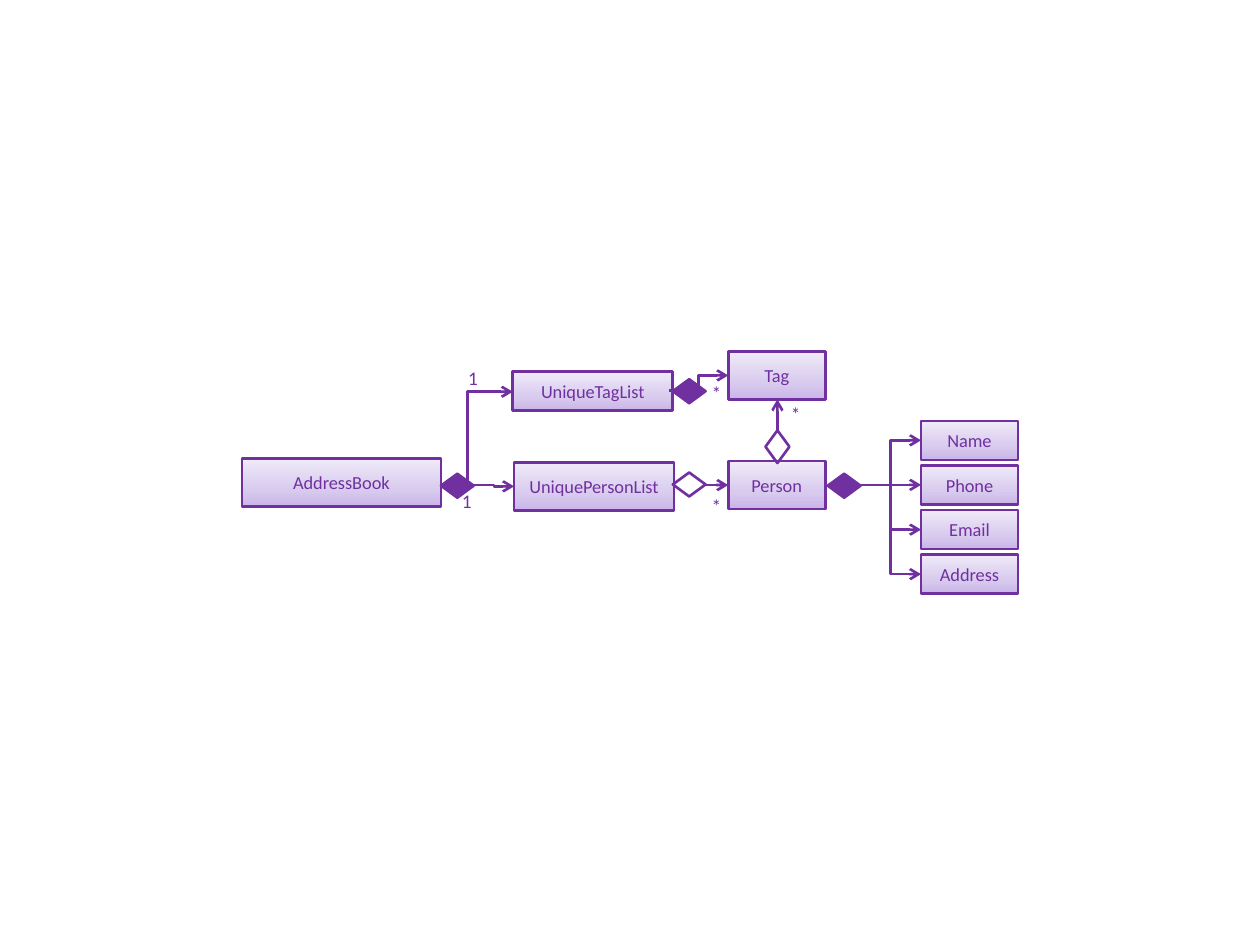
from copy import deepcopy
from dataclasses import dataclass

from pptx import Presentation
from pptx.dml.color import RGBColor
from pptx.enum.shapes import MSO_CONNECTOR, MSO_SHAPE
from pptx.enum.text import MSO_ANCHOR, PP_ALIGN
from pptx.oxml.ns import qn
from pptx.oxml.xmlchemy import OxmlElement
from pptx.util import Inches, Pt


@dataclass(frozen=True)
class Theme:
    """Colours, type sizes and line width of the diagram."""
    ink: RGBColor = RGBColor(0x70, 0x30, 0xA0)
    gradient: tuple = ((0, "C9B5E8"), (0.35, "D8CBEE"), (1, "F0EAF9"))
    font: str = "Calibri"
    label_size: float = 10.5
    count_size: float = 11
    line_width: float = 1.5


THEME = Theme()
DIAMOND_WIDTH, DIAMOND_HEIGHT = 0.26, 0.19


def write_text(frame, text, size=THEME.label_size, anchor=MSO_ANCHOR.MIDDLE,
               margin=None, wrap=True):
    """Write one centred line of text in the diagram's type."""
    frame.word_wrap = wrap
    frame.vertical_anchor = anchor
    if margin is not None:
        frame.margin_left = frame.margin_right = Inches(margin)
        frame.margin_top = frame.margin_bottom = Inches(margin)
    para = frame.paragraphs[0]
    para.alignment = PP_ALIGN.CENTER
    span = para.add_run()
    span.text = text
    span.font.name = THEME.font
    span.font.size = Pt(size)
    span.font.color.rgb = THEME.ink


def set_outline(item):
    """Give a shape or connector the common outline."""
    item.line.color.rgb = THEME.ink
    item.line.width = Pt(THEME.line_width)


def add_outlined_shape(page, kind, left, top, width, height):
    """Add a preset shape with the common outline and no shadow."""
    shape = page.shapes.add_shape(kind, Inches(left), Inches(top),
                                  Inches(width), Inches(height))
    shape.shadow.inherit = False
    set_outline(shape)
    return shape


def add_class_box(page, name, left, top, width, height):
    """Add a class box with a vertical three-stop gradient."""
    box = add_outlined_shape(page, MSO_SHAPE.RECTANGLE, left, top, width, height)
    box.fill.gradient()
    box.fill.gradient_angle = 90
    stop_list = box.element.spPr.find(".//" + qn("a:gsLst"))
    stop_list.append(deepcopy(stop_list[0]))
    for stop, (position, colour) in zip(box.fill.gradient_stops, THEME.gradient):
        stop.position = position
        stop.color.rgb = RGBColor.from_string(colour)
    write_text(box.text_frame, name)


def add_diamond(page, left, top, filled=True, rotation=0):
    """Add a composition (filled) or aggregation (open) diamond."""
    diamond = add_outlined_shape(page, MSO_SHAPE.FLOWCHART_DECISION, left, top,
                                 DIAMOND_WIDTH, DIAMOND_HEIGHT)
    diamond.rotation = rotation
    if filled:
        diamond.fill.solid()
        diamond.fill.fore_color.rgb = THEME.ink
    else:
        diamond.fill.background()


def add_arrow(page, start, end, kind=MSO_CONNECTOR.ELBOW):
    """Add a connector with an open arrowhead at its end."""
    arrow = page.shapes.add_connector(kind, *map(Inches, start + end))
    set_outline(arrow)
    head = OxmlElement("a:tailEnd")
    head.set("type", "arrow")
    arrow.line._get_or_add_ln().append(head)
    arrow.element.spPr.append(OxmlElement("a:effectLst"))
    return arrow


def add_corner_arrow(page, start, end):
    """Add an arrow that goes straight up and then turns right."""
    middle_x, middle_y = (start[0] + end[0]) / 2, (start[1] + end[1]) / 2
    half_width, half_height = (start[1] - end[1]) / 2, (end[0] - start[0]) / 2
    arrow = add_arrow(page, (middle_x + half_width, middle_y + half_height),
                      (middle_x - half_width, middle_y - half_height))
    properties = arrow.element.spPr
    properties.find(qn("a:xfrm")).set("rot", str(90 * 60000))
    properties.find(qn("a:prstGeom")).set("prst", "bentConnector2")


def add_count(page, text, left, top):
    """Add a multiplicity label."""
    box = page.shapes.add_textbox(Inches(left), Inches(top),
                                  Inches(0.21), Inches(0.2))
    write_text(box.text_frame, text, size=THEME.count_size,
               anchor=MSO_ANCHOR.TOP, margin=0)


def add_person_fields(page):
    """Add the stacked field boxes and their arrows from Person."""
    top, height, pitch = 3.34, 0.31, 0.354
    for row, name in enumerate(("Name", "Phone", "Email", "Address")):
        row_top = top + row * pitch
        add_class_box(page, name, 7.31, row_top, 0.77, height)
        add_arrow(page, (6.83, 3.85), (7.31, row_top + height / 2))


def main():
    """Build the class diagram and save it."""
    deck = Presentation()
    deck.slide_width, deck.slide_height = Inches(10), Inches(7.5)
    page = deck.slides.add_slide(deck.slide_layouts[6])

    for name, *place in (
        ("AddressBook", 1.92, 3.64, 1.58, 0.38),
        ("UniqueTagList", 4.07, 2.95, 1.27, 0.31),
        ("UniquePersonList", 4.08, 3.67, 1.27, 0.38),
        ("Tag", 5.78, 2.79, 0.77, 0.38),
        ("Person", 5.78, 3.66, 0.77, 0.38),
    ):
        add_class_box(page, name, *place)
    add_person_fields(page)

    add_corner_arrow(page, (3.71, 3.88), (4.07, 3.11))
    add_arrow(page, (3.76, 3.85), (4.08, 3.86))
    add_arrow(page, (5.31, 3.1), (5.78, 2.98))
    add_arrow(page, (5.6, 3.85), (5.78, 3.85))
    add_arrow(page, (6.17, 3.42), (6.17, 3.17), kind=MSO_CONNECTOR.STRAIGHT)

    for left, top in ((3.5, 3.76), (5.34, 3.01), (6.57, 3.76)):
        add_diamond(page, left, top)
    add_diamond(page, 5.34, 3.75, filled=False)
    add_diamond(page, 6.04, 3.45, filled=False, rotation=270)

    for text, left, top in (("1", 3.65, 2.91), ("1", 3.6, 3.88),
                            ("*", 5.58, 3.03), ("*", 5.58, 3.92),
                            ("*", 6.21, 3.19)):
        add_count(page, text, left, top)

    deck.save("out.pptx")


main()
